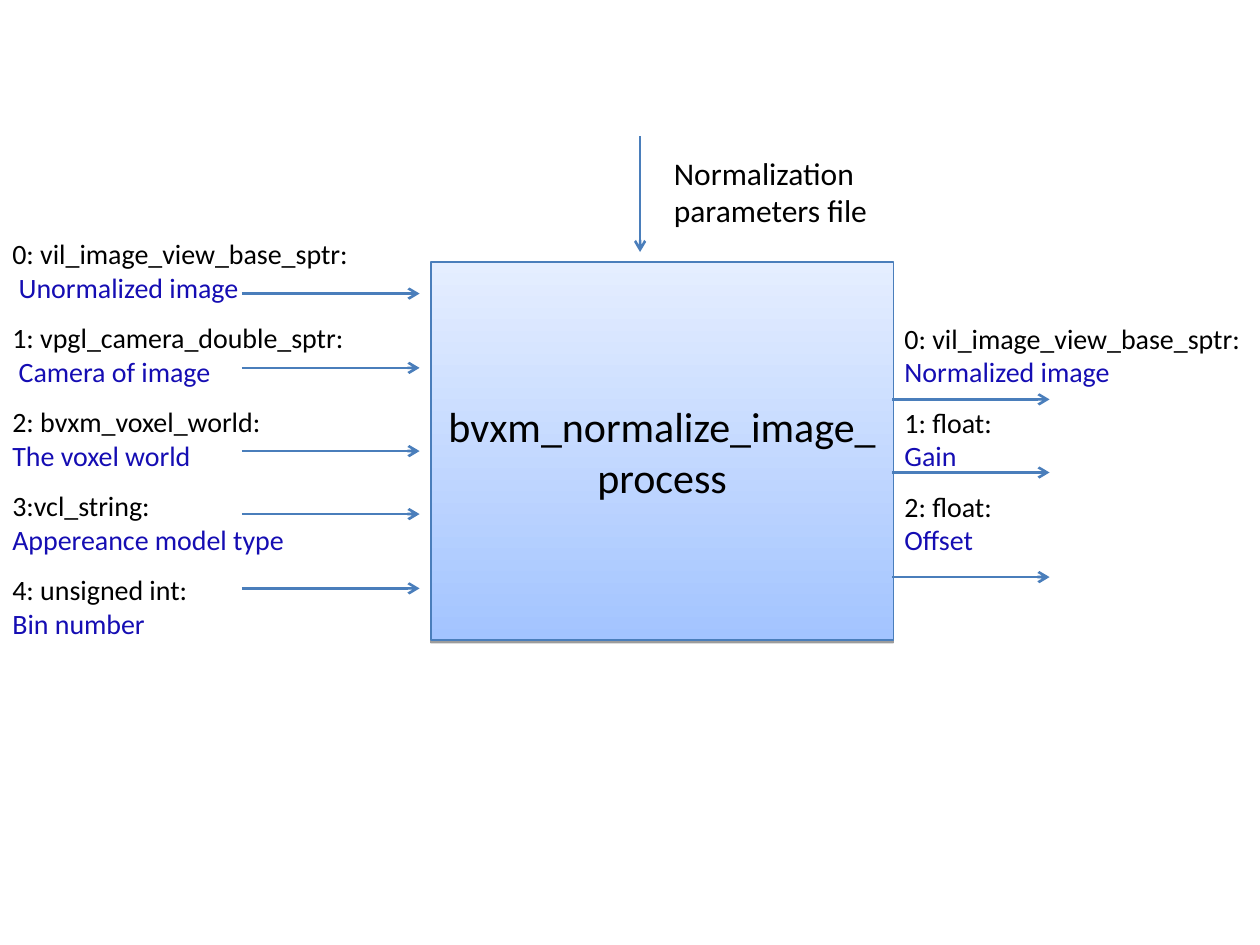
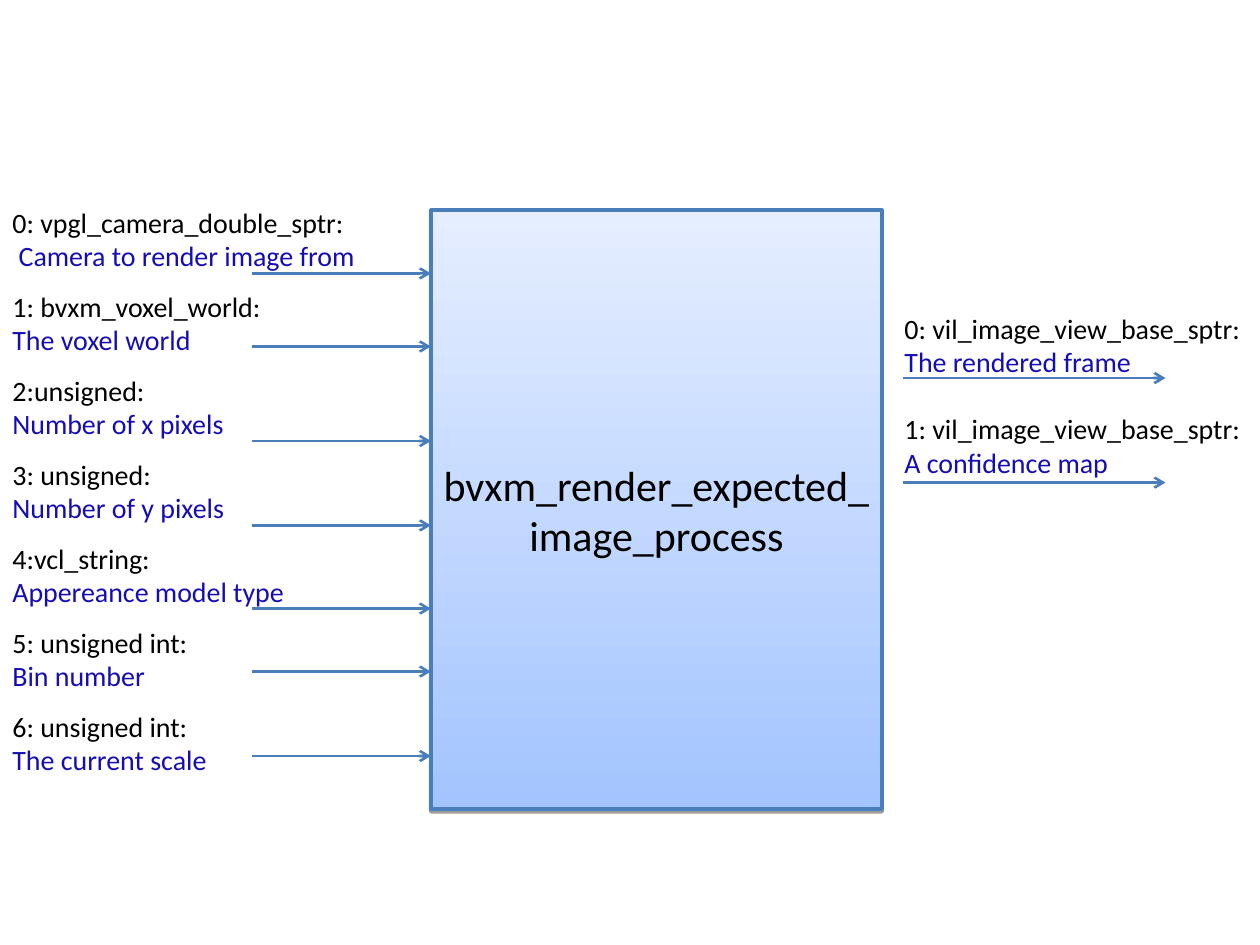
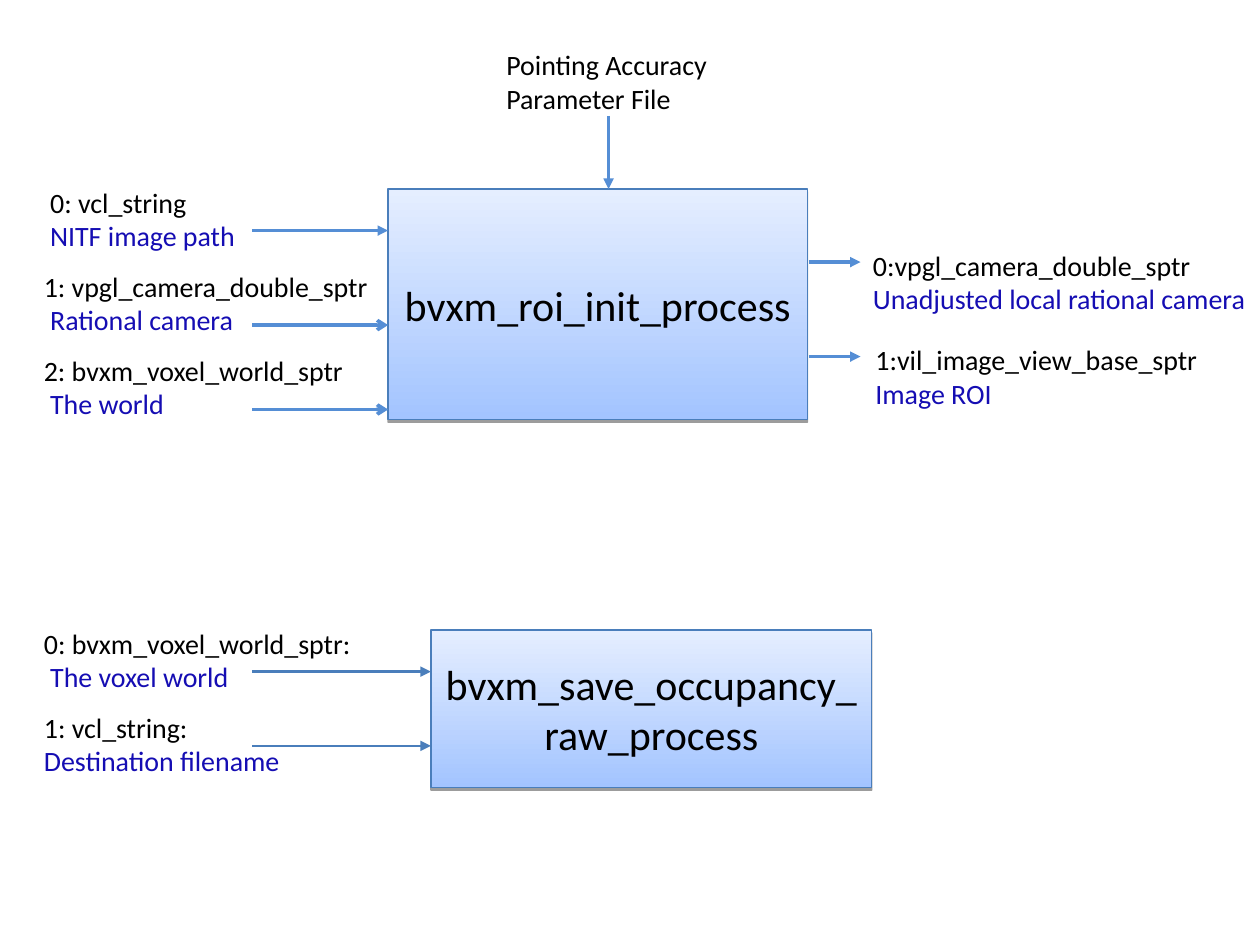
from lxml import etree
from pptx import Presentation
from pptx.dml.color import RGBColor
from pptx.enum.shapes import MSO_CONNECTOR, MSO_SHAPE
from pptx.enum.text import MSO_ANCHOR, MSO_AUTO_SIZE, PP_ALIGN
from pptx.oxml.ns import qn
from pptx.util import Inches, Pt

RECT, LINE = MSO_SHAPE.RECTANGLE, MSO_CONNECTOR.STRAIGHT
LEFT, CENTER, MIDDLE = PP_ALIGN.LEFT, PP_ALIGN.CENTER, MSO_ANCHOR.MIDDLE
GROW = MSO_AUTO_SIZE.SHAPE_TO_FIT_TEXT
FONT = "Calibri"
HEX = {"ink": "000000", "note": "150DB3", "edge": "4A7EBB", "sky": "558ED5",
       "deep": "A3C4FF", "pale": "E5EEFF"}
TINT = {name: RGBColor.from_string(code) for name, code in HEX.items()}


def write(frame, text, size=16, tints=("ink", "note"), gap=0, align=LEFT):
    """Write lines in cycling tints, with a gap before each new group."""
    for i, line in enumerate(text.split("\n")):
        para = frame.paragraphs[0] if i == 0 else frame.add_paragraph()
        para.alignment = align
        if i and i % len(tints) == 0:
            para.space_before = Pt(gap)
        run = para.add_run()
        run.text = line
        run.font.name, run.font.size = FONT, Pt(size)
        run.font.color.rgb = TINT[tints[i % len(tints)]]


def link(slide, x1, y1, x2, y2, tint="edge", width=1.5, head="arrow"):
    """Draw an arrow without a shadow."""
    conn = slide.shapes.add_connector(LINE, *map(Inches, (x1, y1, x2, y2)))
    conn.line.color.rgb = TINT[tint]
    conn.line.width = Pt(width)
    props = conn.element.spPr
    etree.SubElement(props.find(qn("a:ln")), qn("a:tailEnd"), type=head)
    etree.SubElement(props, qn("a:effectLst"))


# Process boxes: left, top, width, height, border, name
# Labels: left, top, width, height, wrap, text, format
# Arrows: start x, end x, heights, format
SKY = {"tint": "sky", "width": 2}
PLAIN = {"tints": ("ink",)}
PAGES = [
    {"boxes": [(3.42, 2.08, 3.67, 3, 0.75, "bvxm_normalize_image_process")],
     "labels": [
         (0, 1.83, 3, 3.3, True,
          "0: vil_image_view_base_sptr:\n Unormalized image\n"
          "1: vpgl_camera_double_sptr:\n Camera of image\n"
          "2: bvxm_voxel_world:\nThe voxel world\n"
          "3:vcl_string:\nAppereance model type\n"
          "4: unsigned int:\nBin number", {"gap": 9.6}),
         (7.08, 2.5, 2.92, 1.97, True,
          "0: vil_image_view_base_sptr:\nNormalized image\n"
          "1: float:\nGain\n2: float:\nOffset", {"gap": 9.6}),
         (5.25, 1.17, 2.25, 0.7, True, "Normalization parameters file",
          {"size": 18, **PLAIN})],
     "flows": [(1.92, 3.33, (2.33, 2.92, 3.58, 4.08, 4.67), {}),
               (7.08, 8.33, (3.17, 3.75, 4.58), {})],
     "drops": [(5.08, 1.08, 2, {})]},
    {"boxes": [(3.42, 1.67, 3.58, 4.75, 2.25,
                "bvxm_render_expected_image_process")],
     "labels": [
         (0, 1.58, 4.08, 5.17, True,
          "0: vpgl_camera_double_sptr:\n Camera to render image from\n"
          "1: bvxm_voxel_world:\nThe voxel world\n"
          "2:unsigned:\nNumber of x pixels\n"
          "3: unsigned:\nNumber of y pixels\n"
          "4:vcl_string:\nAppereance model type\n"
          "5: unsigned int:\nBin number\n"
          "6: unsigned int:\nThe current scale", {"gap": 9.6}),
         (7.08, 2.42, 2.92, 1.44, True,
          "0: vil_image_view_base_sptr:\nThe rendered frame\n"
          "1: vil_image_view_base_sptr:\nA confidence map", {"gap": 19.2})],
     "flows": [(2, 3.42, (2.17, 2.75, 3.5, 4.17, 4.83, 5.33, 6), {}),
               (7.17, 9.25, (3, 3.83), {})],
     "drops": []},
    {"boxes": [(3.08, 1.5, 3.33, 1.83, 0.75, "bvxm_roi_init_process"),
               (3.42, 5, 3.5, 1.25, 0.75, "bvxm_save_occupancy_raw_process")],
     "labels": [
         (6.83, 1.92, 3.17, 0.9, True,
          "0:vpgl_camera_double_sptr\nUnadjusted local rational camera", {}),
         (6.85, 2.67, 2.76, 0.64, False,
          "1:vil_image_view_base_sptr\nImage ROI", {}),
         (3.92, 0.33, 1.85, 0.64, False,
          "Pointing Accuracy\nParameter File", PLAIN),
         (0.25, 1.42, 2.83, 1.97, True,
          " 0: vcl_string\n NITF image path\n"
          "1: vpgl_camera_double_sptr\n Rational camera\n"
          "2: bvxm_voxel_world_sptr\n The world", {"gap": 9.6}),
         (0.25, 4.92, 4.08, 1.57, True,
          "0: bvxm_voxel_world_sptr:\n The voxel world\n"
          "1: vcl_string:\nDestination filename", {"gap": 9.6})],
     "flows": [(2, 3.08, (1.83,), {"head": "triangle", **SKY}),
               (2, 3.08, (2.58, 3.25), SKY),
               (6.42, 6.83, (2.08, 2.83), {"head": "triangle", **SKY}),
               (2, 3.42, (5.33, 5.92), {"head": "triangle"})],
     "drops": [(4.83, 0.92, 1.5, {"head": "triangle", **SKY})]},
]

deck = Presentation()
deck.slide_width, deck.slide_height = Inches(10), Inches(7.5)

for page in PAGES:
    slide = deck.slides.add_slide(deck.slide_layouts[6])

    # Process boxes with gradient and hard shadow
    for *place, border, name in page["boxes"]:
        box = slide.shapes.add_shape(RECT, *map(Inches, place))
        box.fill.gradient()
        box.fill.gradient_angle = 90
        for stop, tint in zip(box.fill.gradient_stops, ("deep", "pale")):
            stop.color.rgb = TINT[tint]
        box.line.color.rgb = TINT["edge"]
        box.line.width = Pt(border)
        box.shadow.inherit = False
        effects = box.element.spPr.find(qn("a:effectLst"))
        shade = etree.SubElement(effects, qn("a:outerShdw"), blurRad="0",
                                 dist=str(Pt(1.6)), dir="5400000",
                                 rotWithShape="0")
        color = etree.SubElement(shade, qn("a:srgbClr"), val=HEX["ink"])
        etree.SubElement(color, qn("a:alpha"), val="38000")
        frame = box.text_frame
        frame.word_wrap, frame.vertical_anchor = True, MIDDLE
        write(frame, name, size=24, align=CENTER)

    # Input, output and parameter labels
    for *place, wrap, text, style in page["labels"]:
        frame = slide.shapes.add_textbox(*map(Inches, place)).text_frame
        frame.word_wrap, frame.auto_size = wrap, GROW
        write(frame, text, **style)

    # Arrows across and down
    for start, end, rows, style in page["flows"]:
        for y in rows:
            link(slide, start, y, end, y, **style)
    for x, top, end, style in page["drops"]:
        link(slide, x, top, x, end, **style)

deck.save("out.pptx")
